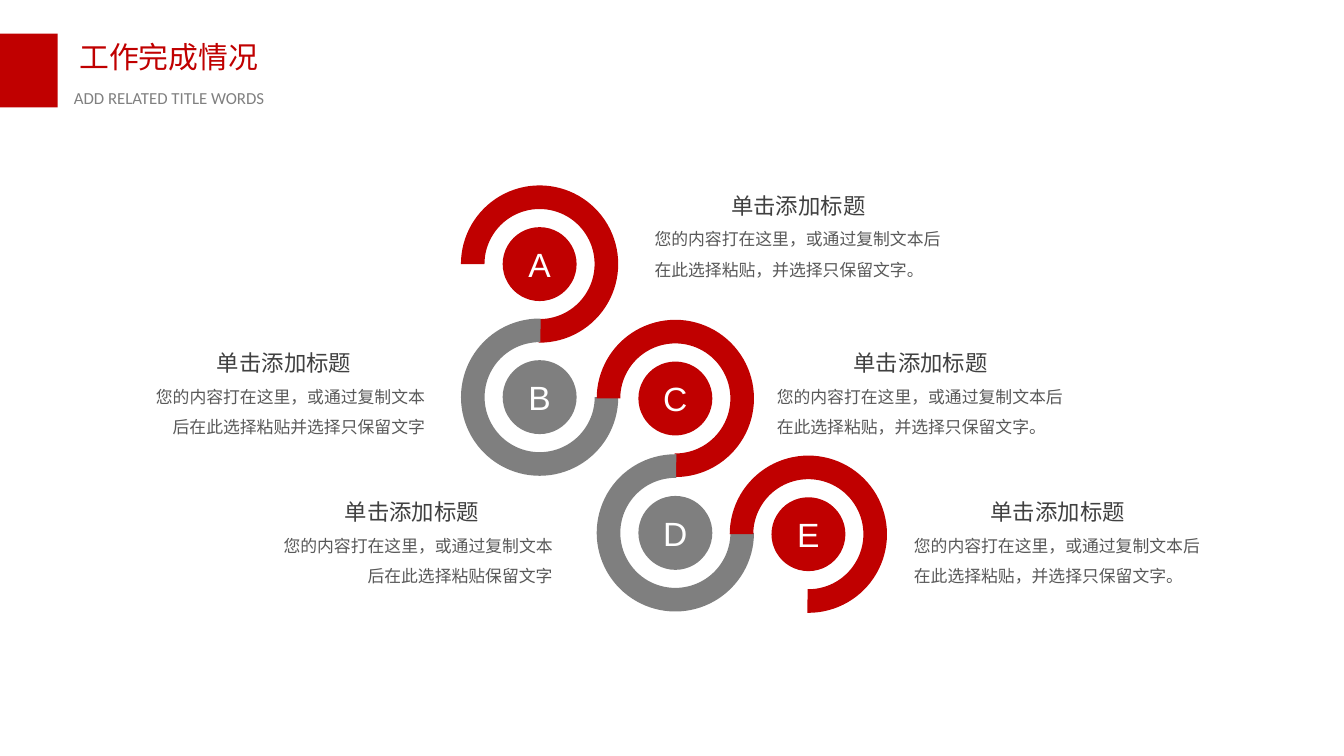
from lxml.etree import SubElement
from pptx import Presentation
from pptx.dml.color import RGBColor
from pptx.enum.shapes import MSO_SHAPE as Shape
from pptx.enum.text import MSO_ANCHOR as Anchor, MSO_AUTO_SIZE as AutoSize, PP_ALIGN as Align
from pptx.oxml.ns import qn
from pptx.util import Inches, Pt

COLORS = {
    "red": "C00000", "gray": "7F7F7F", "subtitle": "808080",
    "heading": "404040", "body": "595959", "white": "FFFFFF",
}
CJK_FONT = "Noto Sans CJK SC"
RING_SIZE, DISC_SIZE = 1.17, 0.55
STEPS = [
    ("A", 3.43, 1.38, "red"),
    ("B", 3.43, 2.37, "gray"),
    ("C", 4.44, 2.38, "red"),
    ("D", 4.44, 3.38, "gray"),
    ("E", 5.43, 3.39, "red"),
]
HEADING = "单击添加标题"
RIGHT_BODY = "您的内容打在这里，或通过复制文本后在此选择粘贴，并选择只保留文字。"
CAPTIONS = [
    (4.8, 1.39, 2.28, Align.LEFT, RIGHT_BODY),
    (5.71, 2.56, 2.28, Align.LEFT, RIGHT_BODY),
    (6.73, 3.67, 2.28, Align.LEFT, RIGHT_BODY),
    (1, 2.56, 2.23, Align.RIGHT, "您的内容打在这里，或通过复制文本后在此选择粘贴并选择只保留文字"),
    (1.95, 3.67, 2.23, Align.RIGHT, "您的内容打在这里，或通过复制文本后在此选择粘贴保留文字"),
]


def format_paragraph(para, size, font, color, align):
    """Align a paragraph and style its runs."""
    para.alignment = align
    for span in para.runs:
        span.font.size = Pt(size)
        span.font.name = font
        span.font.color.rgb = RGBColor.from_string(COLORS[color])
        SubElement(span.font._element, qn("a:ea"), typeface=CJK_FONT)


def set_frame(box, side=0.07, anchor=Anchor.TOP):
    """Set the margins, wrapping and anchor of a box and return its frame."""
    frame = box.text_frame
    frame.margin_left = frame.margin_right = Inches(side)
    frame.margin_top = frame.margin_bottom = Inches(0.04)
    frame.word_wrap = True
    frame.vertical_anchor = anchor
    return frame


def add_filled(page, kind, left, top, width, height, color):
    """Add a flat preset shape without an outline."""
    shape = page.shapes.add_shape(kind, Inches(left), Inches(top), Inches(width), Inches(height))
    shape.shadow.inherit = False
    shape.fill.solid()
    shape.fill.fore_color.rgb = RGBColor.from_string(COLORS[color])
    shape.line.fill.background()
    return shape


def add_text_box(page, left, top, width, height):
    """Add an empty text box."""
    return page.shapes.add_textbox(Inches(left), Inches(top), Inches(width), Inches(height))


def add_header(page):
    """Add the red tab, the title and the subtitle."""
    add_filled(page, Shape.RECTANGLE, 0, 0.25, 0.43, 0.55, "red")
    title = page.shapes.title
    title.left, title.top = Inches(0.51), Inches(0.25)
    title.width, title.height = Inches(2.01), Inches(0.35)
    subtitle = add_text_box(page, 0.47, 0.61, 2.23, 0.23)
    for box, text, size, font, color in (
        (title, "工作完成情况", 16, CJK_FONT, "red"),
        (subtitle, "ADD RELATED TITLE WORDS", 9, "Calibri", "subtitle"),
    ):
        frame = set_frame(box, 0.08)
        frame.text = text
        frame.auto_size = AutoSize.SHAPE_TO_FIT_TEXT
        format_paragraph(frame.paragraphs[0], size, font, color, Align.JUSTIFY)


def add_ring(page, left, top, color):
    """Add a three-quarter ring, turned upside down when gray."""
    ring = add_filled(page, Shape.BLOCK_ARC, left, top, RING_SIZE, RING_SIZE, color)
    for index, value in enumerate((108, 54.45, 0.15)):
        ring.adjustments[index] = value
    ring.rotation = 180 if color == "gray" else 0


def add_disc(page, letter, left, top, color):
    """Add the lettered disc in the middle of a ring."""
    inset = (RING_SIZE - DISC_SIZE) / 2
    disc = add_filled(page, Shape.OVAL, left + inset, top + inset, DISC_SIZE, DISC_SIZE, color)
    frame = set_frame(disc, anchor=Anchor.MIDDLE)
    frame.text = letter
    format_paragraph(frame.paragraphs[0], 18, "Arial", "white", Align.CENTER)


def add_caption(page, left, top, width, align, text):
    """Add a centred heading with body text below it."""
    frame = set_frame(add_text_box(page, left, top, width, 0.73))
    frame.auto_size = AutoSize.SHAPE_TO_FIT_TEXT
    frame.text = HEADING
    format_paragraph(frame.paragraphs[0], 12, CJK_FONT, "heading", Align.CENTER)
    body = frame.add_paragraph()
    body.text = text
    body.line_spacing = 1.5
    format_paragraph(body, 9, "Arial", "body", align)


def main():
    """Build and save the slide."""
    deck = Presentation()
    deck.slide_width = Inches(10)
    deck.slide_height = deck.slide_width * 9 // 16
    page = deck.slides.add_slide(deck.slide_layouts.get_by_name("Title Only"))
    add_header(page)
    for _, left, top, color in STEPS:
        add_ring(page, left, top, color)
    for step in STEPS:
        add_disc(page, *step)
    for caption in CAPTIONS:
        add_caption(page, *caption)
    deck.save("out.pptx")


if __name__ == "__main__":
    main()
